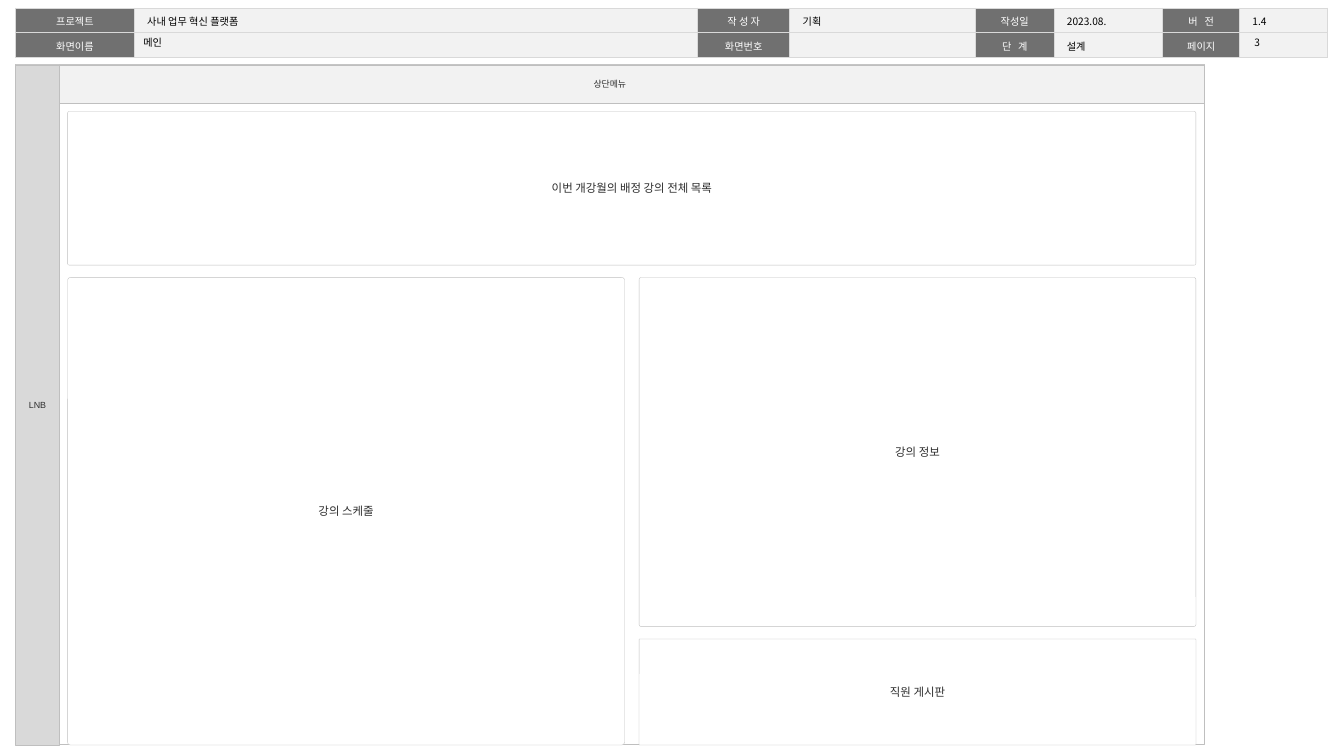
from lxml.etree import SubElement
from pptx import Presentation
from pptx.dml.color import RGBColor
from pptx.enum.shapes import MSO_SHAPE as Shape
from pptx.enum.text import MSO_ANCHOR as Anchor, PP_ALIGN as Align
from pptx.oxml.ns import qn
from pptx.util import Inches, Pt

WIDTH, HEIGHT = 14.7, 8.27
COLUMNS, ROWS = 1470, 827
WHITE = RGBColor(0xFF, 0xFF, 0xFF)
BLACK = RGBColor(0x00, 0x00, 0x00)
INK = RGBColor(0x2E, 0x2E, 0x2E)
LABEL = RGBColor(0x70, 0x70, 0x70)
PALE = RGBColor(0xF2, 0xF2, 0xF2)
SIDE = RGBColor(0xD9, 0xD9, 0xD9)
EDGE = RGBColor(0xBF, 0xBF, 0xBF)
KOREAN, LATIN = "Noto Sans CJK KR", "Arial"
SPREAD = {"버 전", "단 계"}


class Wireframe:
    """Draws screen-spec elements on one slide, in grid columns and rows."""

    def __init__(self, deck):
        self.slide = deck.slides.add_slide(deck.slide_layouts[6])
        self.column = deck.slide_width / COLUMNS
        self.row = deck.slide_height / ROWS

    def place(self, left, top, width, height):
        return (round(left * self.column), round(top * self.row),
                round(width * self.column), round(height * self.row))

    def add_words(self, paragraph, words, size, color, font, align=Align.LEFT):
        paragraph.alignment = align
        if not words:
            SubElement(paragraph._p, qn("a:endParaRPr"), sz=str(size * 100))
            return
        run = paragraph.add_run()
        run.text = words
        run.font.size, run.font.name = Pt(size), font
        run.font.color.rgb = color
        style = run._r.get_or_add_rPr()
        SubElement(style, qn("a:ea"), typeface=KOREAN)
        if words in SPREAD:
            style.set("spc", "180")

    def block(self, area, fill, words="", size=7, weight=0.25, corner=None):
        kind = Shape.RECTANGLE if corner is None else Shape.ROUNDED_RECTANGLE
        block = self.slide.shapes.add_shape(kind, *self.place(*area))
        block.shadow.inherit = False
        block.fill.solid()
        block.fill.fore_color.rgb = fill
        block.line.color.rgb = EDGE
        block.line.width = Pt(weight)
        if corner is not None:
            block.adjustments[0] = corner
        if words:
            frame = block.text_frame
            side = 0 if corner is None else Inches(0.08)
            frame.margin_left = frame.margin_right = side
            frame.margin_top = frame.margin_bottom = 0
            frame.word_wrap = corner is not None
            frame.vertical_anchor = Anchor.MIDDLE
            self.add_words(frame.paragraphs[0], words, size, INK, LATIN, Align.CENTER)

    def entry(self, area, words):
        frame = self.slide.shapes.add_textbox(*self.place(*area)).text_frame
        frame.word_wrap = True
        frame.vertical_anchor = Anchor.MIDDLE
        self.add_words(frame.paragraphs[0], words, 8, BLACK, KOREAN)

    def border(self, cell):
        properties = cell._tc.get_or_add_tcPr()
        for index, side in enumerate(("lnL", "lnR", "lnT", "lnB")):
            line = properties.makeelement(qn(f"a:{side}"), {"w": str(int(Pt(1)))})
            SubElement(SubElement(line, qn("a:solidFill")), qn("a:srgbClr"), val=str(SIDE))
            properties.insert(index, line)

    def header(self, area, widths, records):
        table = self.slide.shapes.add_table(
            len(records), len(widths), *self.place(*area)).table
        for column, width in zip(table.columns, widths):
            column.width = round(width * self.column)
        for r, record in enumerate(records):
            for c, words in enumerate(record):
                is_label = c % 2 == 0
                cell = table.cell(r, c)
                cell.fill.solid()
                cell.fill.fore_color.rgb = LABEL if is_label else PALE
                cell.margin_left = cell.margin_right = Inches(0.14)
                cell.margin_top = cell.margin_bottom = Inches(0.05)
                cell.vertical_anchor = Anchor.MIDDLE
                paragraph = cell.text_frame.paragraphs[0]
                paragraph.line_spacing = 1.05
                self.add_words(paragraph, words, 8, WHITE if is_label else BLACK, KOREAN,
                               Align.CENTER if is_label else Align.LEFT)
                self.border(cell)


def main():
    deck = Presentation()
    deck.slide_width, deck.slide_height = Inches(WIDTH), Inches(HEIGHT)
    screen = Wireframe(deck)

    screen.header((17, 9, 1434, 48), (130, 616, 101, 203, 86, 119, 84, 96), (
        ("프로젝트", "사내 업무 혁신 플랫폼", "작 성 자", "기획",
         "작성일", "2023.08.", "버 전", "1.4"),
        ("화면이름", "", "화면번호", "", "단 계", "설계", "페이지", ""),
    ))

    left, top, width, height = 17, 71, 1300, 744
    screen.block((left, top, width, height), WHITE, weight=0.75)
    screen.block((left, top, width, 42), PALE, "상단메뉴")
    screen.block((left, top, 48, height), SIDE, "LNB")
    screen.entry((147, 38, 591, 16), "메인")
    screen.entry((1362, 38, 72, 16), "3")

    first, half, gutter, gap = 74, 609, 16, 13.5
    second = first + half + gutter
    bottom = top + height
    list_top, list_height, info_height = 122, 168, 382
    lower_top = list_top + list_height + gap
    board_top = lower_top + info_height + gap
    panels = (
        ("이번 개강월의 배정 강의 전체 목록", first, list_top, 2 * half + gutter, list_height, 0.01),
        ("강의 스케줄", first, lower_top, half, bottom - lower_top, 0.006),
        ("강의 정보", second, lower_top, half, info_height, 0.006),
        ("직원 게시판", second, board_top, half, bottom - board_top, 0.006),
    )
    for words, *area, corner in panels:
        screen.block(area, WHITE, words, size=9, corner=corner)

    deck.save("out.pptx")


if __name__ == "__main__":
    main()
